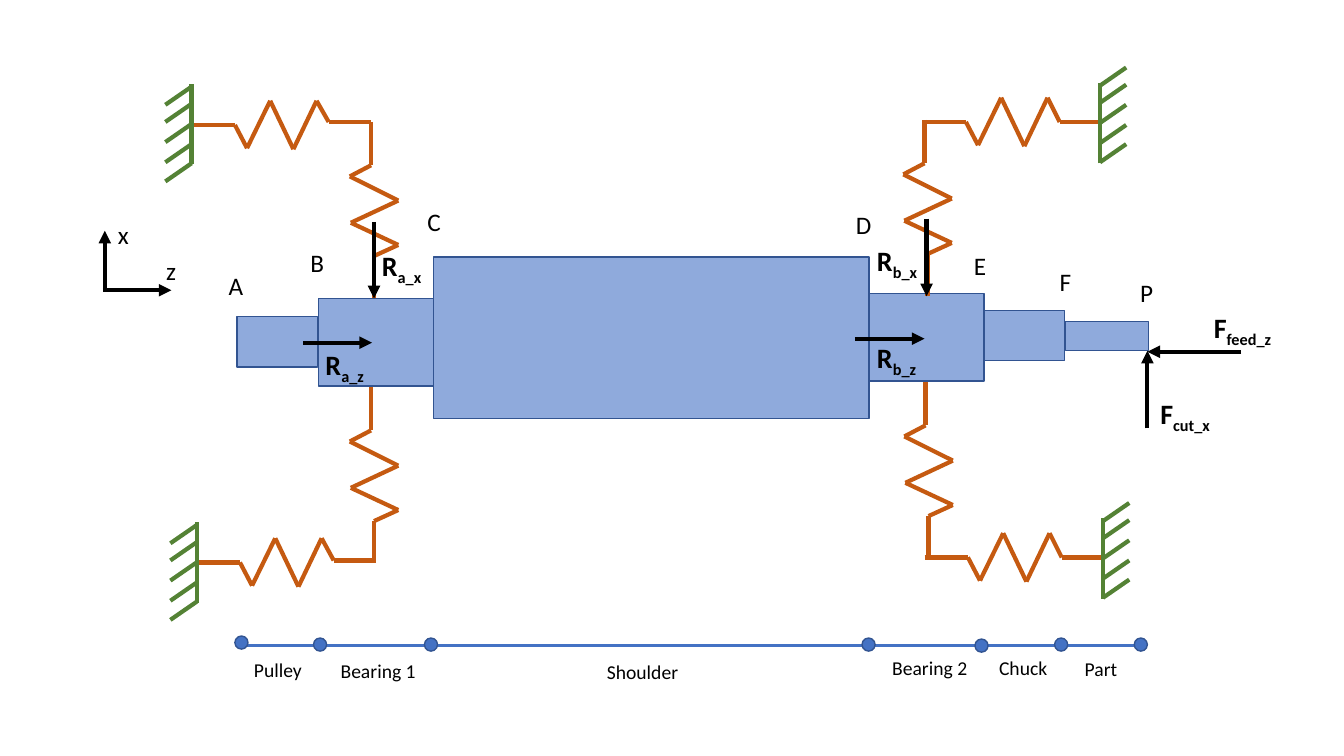
"""Draw the spindle model: stepped shaft, bearing springs, loads and section scale."""
from dataclasses import dataclass
from itertools import pairwise

from lxml.etree import SubElement
from pptx import Presentation
from pptx.dml.color import RGBColor
from pptx.enum.shapes import MSO_CONNECTOR as Link, MSO_SHAPE as Preset
from pptx.enum.text import MSO_AUTO_SIZE as AutoSize
from pptx.oxml.ns import qn
from pptx.util import Inches, Pt


@dataclass(frozen=True)
class Theme:
    font: str = "Calibri"
    ink: str = "000000"
    shaft: str = "8FAADC"
    scale: str = "4472C4"
    outline: str = "325491"
    spring: str = "C55A11"
    wall: str = "548235"
    section_size: int = 14
    point_size: int = 18
    force_size: int = 20
    outline_width: float = 1
    scale_width: float = 2.25
    stroke_width: float = 3


class Diagram:
    def __init__(self, slide, theme):
        self.shapes = slide.shapes
        self.theme = theme

    def solid(self, preset, left, top, width, height, color):
        body = self.shapes.add_shape(preset, Inches(left), Inches(top), Inches(width), Inches(height))
        body.shadow.inherit = False
        body.fill.solid()
        body.fill.fore_color.rgb = RGBColor.from_string(color)
        body.line.color.rgb = RGBColor.from_string(self.theme.outline)
        body.line.width = Pt(self.theme.outline_width)

    def line(self, start, end, color, width=None):
        stroke = self.shapes.add_connector(Link.STRAIGHT, *map(Inches, (*start, *end)))
        stroke.line.color.rgb = RGBColor.from_string(color)
        stroke.line.width = Pt(width or self.theme.stroke_width)
        SubElement(stroke._element.spPr, qn("a:effectLst"))
        return stroke

    def arrow(self, start, end):
        stroke = self.line(start, end, self.theme.ink)
        SubElement(stroke.line._get_or_add_ln(), qn("a:tailEnd"), type="triangle")

    def text(self, left, top, width, height, size, words, subscript="", wrap=True):
        box = self.shapes.add_textbox(Inches(left), Inches(top), Inches(width), Inches(height))
        frame = box.text_frame
        frame.word_wrap = wrap
        frame.auto_size = AutoSize.SHAPE_TO_FIT_TEXT
        for part in filter(None, (words, subscript)):
            run = frame.paragraphs[0].add_run()
            run.text = part
            run.font.name = self.theme.font
            run.font.size = Pt(size)
            run.font.bold = bool(subscript)
            run.font.color.rgb = RGBColor.from_string(self.theme.ink)
            if part == subscript:
                run._r.get_or_add_rPr().set("baseline", "-25000")

    def spring(self, left, top, bends):
        for (x1, y1), (x2, y2) in pairwise(bends):
            self.line((left + x1, top + y1), (left + x2, top + y2), self.theme.spring)

    def wall(self, x, top, side):
        self.line((x, top + 0.8), (x, top), self.theme.wall)
        for drop in (0.03, 0.2, 0.4, 0.6, 0.79):
            y = top + drop
            self.line((x, y), (x + side * 0.26, y - side * 0.18), self.theme.wall)


def axial_bends(shift):
    return [(0, 0), (0.43, 0), (0.55, 0.23), (0.78, -0.24), (1.01, 0.24),
            (1.24, -0.24), (1.36, shift), (1.78, shift)]


RADIAL_BENDS = [(0, 0), (0, 0.43), (-0.21, 0.54), (0.27, 0.78), (-0.2, 1),
                (0.27, 1.22), (0.03, 1.33), (0.03, 1.75)]
SHAFT_SECTIONS = [(4.3, 2.55, 4.32, 1.6), (3.16, 2.96, 1.14, 0.87), (8.62, 2.91, 1.14, 0.87),
                  (2.35, 3.14, 0.8, 0.5), (9.76, 3.08, 0.8, 0.5), (10.57, 3.19, 0.82, 0.29)]
POINTS = [("A", 2.17, 2.63, 0.35), ("B", 2.98, 2.4, 0.35), ("C", 4.14, 2, 0.35),
          ("D", 8.39, 2.03, 0.36), ("E", 9.56, 2.43, 0.32), ("F", 10.41, 2.59, 0.32),
          ("P", 11.21, 2.7, 0.33), ("x", 1.07, 2.13, 0.31), ("z", 1.55, 2.48, 0.3)]
SCALE_MARKS = [(2.33, 6.31), (3.11, 6.33), (4.21, 6.33), (8.55, 6.33),
               (9.67, 6.34), (10.46, 6.33), (11.25, 6.33)]
SECTION_NAMES = [("Pulley", 2.42, 6.48, 0.74), ("Bearing 1", 3.28, 6.49, 1.03),
                 ("Shoulder", 5.92, 6.5, 1.03), ("Bearing 2", 8.75, 6.46, 1.03),
                 ("Chuck", 9.81, 6.46, 0.69), ("Part", 10.66, 6.47, 0.69)]
FORCES = [("R", "b_x", 8.6, 2.37), ("R", "a_x", 3.69, 2.42), ("R", "a_z", 3.13, 3.4),
          ("R", "b_z", 8.6, 3.33), ("F", "feed_z", 11.94, 3.03), ("F", "cut_x", 11.41, 3.88)]
ARROWS = [((3.01, 3.4), (3.69, 3.4)), ((8.48, 3.36), (9.17, 3.36)),
          ((12.31, 3.49), (11.38, 3.49)), ((11.38, 4.25), (11.38, 3.48)),
          ((1.04, 2.88), (1.04, 2.29)), ((1.02, 2.88), (1.7, 2.88)),
          ((3.71, 2.2), (3.71, 2.96)), ((9.19, 2.17), (9.19, 2.94))]
RADIAL_SPRINGS = [(3.68, 1.21), (9.17, 1.19), (3.68, 3.84), (9.18, 3.79)]
AXIAL_SPRINGS = [(1.9, 1.24, -0.03), (9.15, 1.21, 0), (1.95, 5.58, -0.02), (9.17, 5.53, 0)]
WALLS = [(1.9, 0.83, -1), (10.91, 0.82, 1), (1.95, 5.18, -1), (10.94, 5.14, 1)]

deck = Presentation()
deck.slide_width, deck.slide_height = Inches(13.33), Inches(7.5)
theme = Theme()
spindle = Diagram(deck.slides.add_slide(deck.slide_layouts[6]), theme)

for section in SHAFT_SECTIONS:
    spindle.solid(Preset.RECTANGLE, *section, theme.shaft)
for letter, left, top, width in POINTS:
    spindle.text(left, top, width, 0.4, theme.point_size, letter, wrap=False)

spindle.line((2.34, 6.4), (11.37, 6.4), theme.scale, theme.scale_width)
for left, top in SCALE_MARKS:
    spindle.solid(Preset.OVAL, left, top, 0.13, 0.13, theme.scale)
for name, left, top, width in SECTION_NAMES:
    spindle.text(left, top, width, 0.34, theme.section_size, name)

for left, top in RADIAL_SPRINGS:
    spindle.spring(left, top, RADIAL_BENDS)
for left, top, shift in AXIAL_SPRINGS:
    spindle.spring(left, top, axial_bends(shift))
for x, top, side in WALLS:
    spindle.wall(x, top, side)

for start, end in ARROWS:
    spindle.arrow(start, end)
for symbol, index, left, top in FORCES:
    spindle.text(left, top, 1.04, 0.44, theme.force_size, symbol, index)

deck.save("out.pptx")
